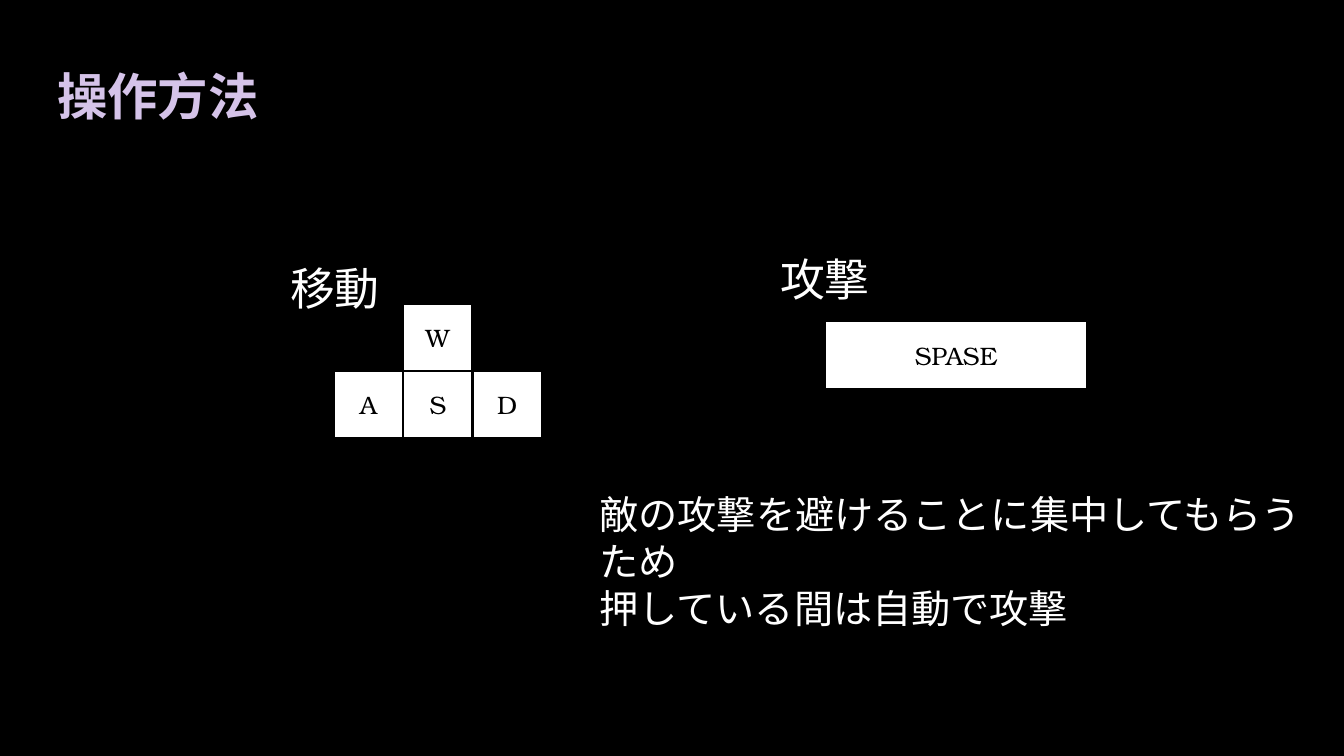
from pptx import Presentation
from pptx.dml.color import RGBColor
from pptx.enum.shapes import MSO_SHAPE as Shape
from pptx.enum.text import MSO_ANCHOR as Anchor, PP_ALIGN as Align
from pptx.util import Cm, Pt

COLORS = {"background": "000000", "title": "D5C3E9", "text": "FFFFFF",
          "key": "FFFFFF", "key_text": "000000", "key_line": "000000"}
FONT = "TeX Gyre Bonum"
KEY_WIDTH, KEY_HEIGHT = 1.75, 1.68


def color(name):
    return RGBColor.from_string(COLORS[name])


def write(frame, *lines, size=18, ink="text", bold=False, align=Align.LEFT,
          anchor=Anchor.TOP, spacing=None):
    """Fill a text frame with one paragraph per line."""
    frame.word_wrap = True
    frame.vertical_anchor = anchor
    for index, line in enumerate(lines):
        paragraph = frame.paragraphs[0] if index == 0 else frame.add_paragraph()
        paragraph.alignment = align
        if spacing:
            paragraph.line_spacing = spacing
        run = paragraph.add_run()
        run.text = line
        run.font.name = FONT
        run.font.size = Pt(size)
        run.font.bold = bold
        run.font.color.rgb = color(ink)


def add_text(slide, box, *lines, **text_format):
    label = slide.shapes.add_textbox(*map(Cm, box))
    write(label.text_frame, *lines, **text_format)


def add_key(slide, box, letter):
    key = slide.shapes.add_shape(Shape.RECTANGLE, *map(Cm, box))
    key.shadow.inherit = False
    key.fill.solid()
    key.fill.fore_color.rgb = color("key")
    key.line.color.rgb = color("key_line")
    key.line.width = Pt(1.5)
    write(key.text_frame, letter, ink="key_text", align=Align.CENTER,
          anchor=Anchor.MIDDLE)


def add_movement(slide, left, top):
    """Heading with the W key above the A, S and D keys."""
    add_text(slide, (left, top, 2.82, 1.63), "移動", size=32)
    keys_left, keys_top = left + 1.35, top + 1.22
    for letter, column, row in (("W", 1, 0), ("S", 1, 1), ("A", 0, 1), ("D", 2, 1)):
        add_key(slide, (keys_left + column * KEY_WIDTH, keys_top + row * KEY_HEIGHT,
                        KEY_WIDTH, KEY_HEIGHT), letter)


def add_attack(slide, left, top):
    """Heading, space bar and the reason for automatic fire."""
    add_text(slide, (left, top, 2.8, 1.63), "攻撃", size=32)
    add_key(slide, (left + 1.39, top + 1.86, 6.6, 1.73), "SPASE")
    add_text(slide, (left - 4.55, top + 6, 18.52, 2.64),
             "敵の攻撃を避けることに集中してもらうため",
             "押している間は自動で攻撃", size=28)


def build_controls_slide(presentation):
    slide = presentation.slides.add_slide(presentation.slide_layouts[6])
    slide.background.fill.solid()
    slide.background.fill.fore_color.rgb = color("background")
    add_text(slide, (1.19, 1.5, 5.87, 2.01), "操作方法", size=36, ink="title",
             bold=True, anchor=Anchor.MIDDLE, spacing=0.9)
    add_movement(slide, 7.06, 6.45)
    add_attack(slide, 19.41, 6.22)


def main():
    presentation = Presentation()
    presentation.slide_width, presentation.slide_height = Cm(33.87), Cm(19.05)
    build_controls_slide(presentation)
    presentation.save("out.pptx")


if __name__ == "__main__":
    main()
